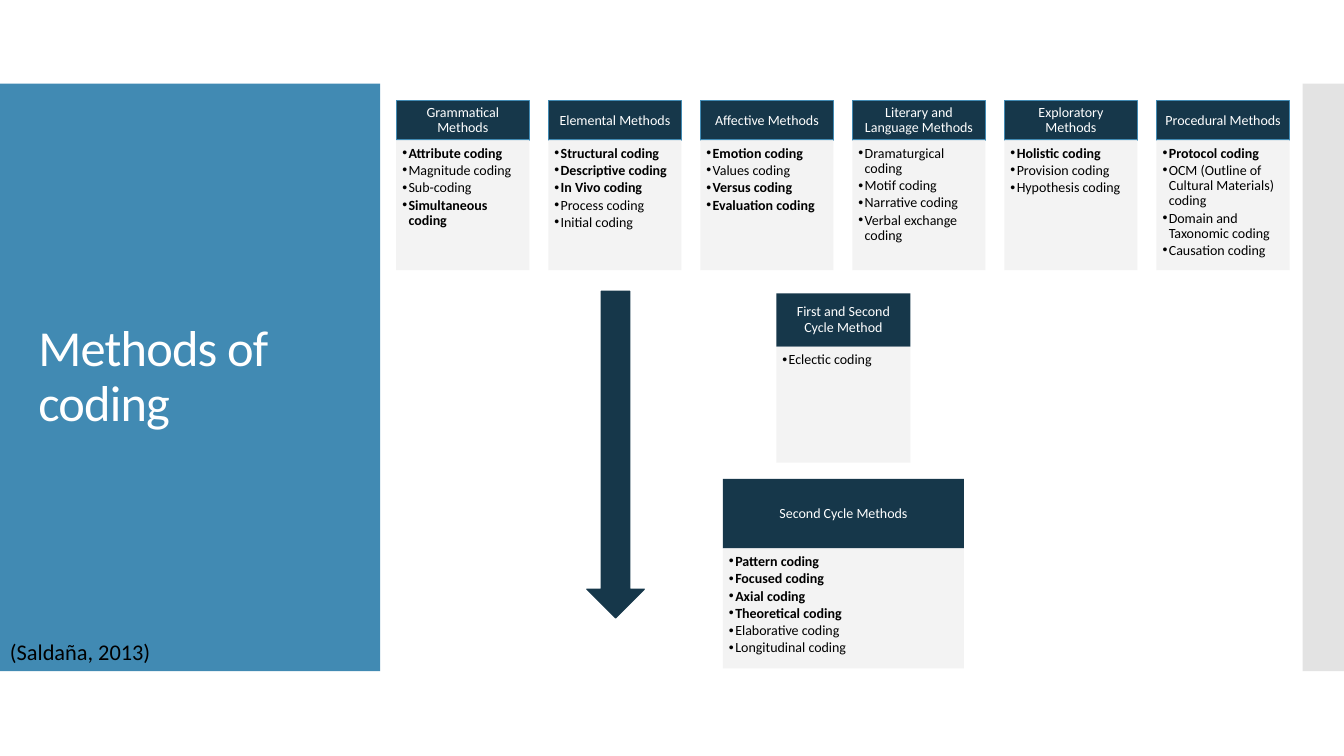
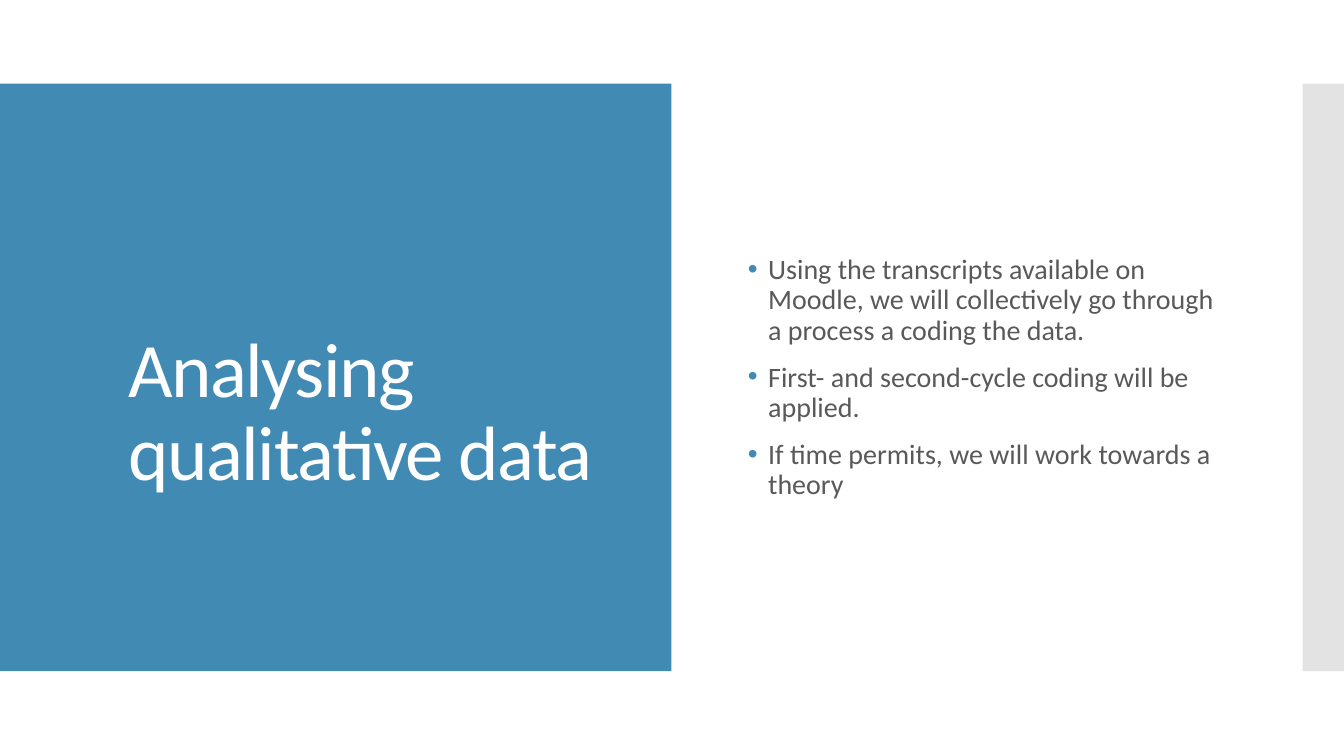
from lxml.etree import SubElement
from pptx import Presentation
from pptx.dml.color import RGBColor
from pptx.enum.shapes import MSO_SHAPE as SHAPE
from pptx.enum.text import MSO_ANCHOR as ANCHOR, MSO_AUTO_SIZE as AUTO_SIZE, PP_ALIGN as ALIGN
from pptx.oxml.ns import qn
from pptx.util import Inches, Pt

FONT = "Calibri"
BLUE = RGBColor(0x41, 0x8A, 0xB3)
NAVY = RGBColor(0x16, 0x37, 0x4A)
STRIP_GREY = RGBColor(0xC8, 0xC8, 0xC8)
CARD_GREY = RGBColor(0xF2, 0xF2, 0xF2)
TEXT_GREY = RGBColor(0x59, 0x59, 0x59)
BLACK = RGBColor(0, 0, 0)
WHITE = RGBColor(0xFF, 0xFF, 0xFF)

BAND_TOP, BAND_HEIGHT = 0.83, 5.83


def add_block(page, kind, bounds, fill, opacity=100, line=None):
    block = page.shapes.add_shape(kind, *map(Inches, bounds))
    block.shadow.inherit = False
    block.fill.solid()
    block.fill.fore_color.rgb = fill
    if opacity < 100:
        color = block.element.spPr.find(qn("a:solidFill"))[0]
        SubElement(color, qn("a:alpha")).set("val", str(opacity * 1000))
    if line is None:
        block.line.fill.background()
    else:
        block.line.color.rgb = line
        block.line.width = Pt(0.85)
    return block


def write_bullets(frame, items, size, color, indent, bullet_color, level=0, bold_items=()):
    frame.word_wrap = True
    frame.text = "\n".join(items)
    for para in frame.paragraphs:
        props = para._p.get_or_add_pPr()
        props.set("marL", str(Inches(indent)))
        props.set("indent", str(-Inches(indent)))
        bullet_fill = SubElement(props, qn("a:buClr"))
        SubElement(bullet_fill, qn("a:srgbClr")).set("val", str(bullet_color))
        SubElement(props, qn("a:buFont")).set("typeface", "Arial")
        SubElement(props, qn("a:buChar")).set("char", "•")
        para.level = level
        para.alignment = ALIGN.LEFT
        para.line_spacing = 0.9
        for span in para.runs:
            span.font.name = FONT
            span.font.size = Pt(size)
            span.font.color.rgb = color
            span.font.bold = span.text in bold_items


deck = Presentation()
deck.slide_width, deck.slide_height = Inches(13.33), Inches(7.5)

# Shared frame: blue title band, grey strip on the right, white title
frames = [
    # title, band width, title bounds, anchor, size, letter spacing in 1/100 pt
    ("Methods of coding", 3.77, (0.28, 1.23, 3.22, 5.03), ANCHOR.MIDDLE, 36, -60),
    ("Analysing qualitative data", 6.66, (1.17, 1.42, 5.15, 3.56), ANCHOR.BOTTOM, 55, -100),
]
for heading, band_width, bounds, anchor, size, spacing in frames:
    page = deck.slides.add_slide(deck.slide_layouts[5])
    add_block(page, SHAPE.RECTANGLE, (0, BAND_TOP, band_width, BAND_HEIGHT), BLUE)
    add_block(page, SHAPE.RECTANGLE, (12.92, BAND_TOP, 0.41, BAND_HEIGHT), STRIP_GREY, 50)
    title = page.shapes.title
    title.element.getparent().append(title.element)  # bring in front of the band
    title.left, title.top, title.width, title.height = map(Inches, bounds)
    frame = title.text_frame
    frame.text = heading
    frame.word_wrap = True
    frame.auto_size = AUTO_SIZE.NONE
    frame.vertical_anchor = anchor
    para = frame.paragraphs[0]
    para.alignment = ALIGN.LEFT
    para.line_spacing = 0.9
    span = para.runs[0]
    span.font.name = FONT
    span.font.size = Pt(size)
    span.font.color.rgb = WHITE
    span._r.get_or_add_rPr().set("spc", str(spacing))

methods_page, analysis_page = deck.slides

# Citation on the band
citation = methods_page.shapes.add_textbox(Inches(0), Inches(6.28), Inches(3.22), Inches(0.37))
citation.text_frame.word_wrap = True
citation.text_frame.text = "(Saldaña, 2013)"
font = citation.text_frame.paragraphs[0].runs[0].font
font.name, font.size, font.color.rgb = FONT, Pt(16), BLACK

# Coding methods: six first-cycle cards in a row, then two later cards
first_cycle = {
    "Grammatical Methods": ["Attribute coding", "Magnitude coding", "Sub-coding",
                            "Simultaneous coding"],
    "Elemental Methods": ["Structural coding", "Descriptive coding", "In Vivo coding",
                          "Process coding", "Initial coding"],
    "Affective Methods": ["Emotion coding", "Values coding", "Versus coding",
                          "Evaluation coding"],
    "Literary and Language Methods": ["Dramaturgical coding", "Motif coding",
                                      "Narrative coding", "Verbal exchange coding"],
    "Exploratory Methods": ["Holistic coding", "Provision coding", "Hypothesis coding"],
    "Procedural Methods": ["Protocol coding", "OCM (Outline of Cultural Materials) coding",
                           "Domain and Taxonomic coding", "Causation coding"],
}
second_cycle = ["Pattern coding", "Focused coding", "Axial coding", "Theoretical coding",
                "Elaborative coding", "Longitudinal coding"]
highlighted = {
    "Attribute coding", "Simultaneous coding", "Structural coding", "Descriptive coding",
    "In Vivo coding", "Emotion coding", "Versus coding", "Evaluation coding",
    "Holistic coding", "Protocol coding", *second_cycle[:4],
}
first_left, last_left = 3.93, 11.47
pitch = (last_left - first_left) / (len(first_cycle) - 1)

# heading, codes, left, top, width, header height, body height, header outline
cards = [
    (heading, codes, first_left + column * pitch, 1, 1.32, 0.39, 1.29, BLUE)
    for column, (heading, codes) in enumerate(first_cycle.items())
]
cards.append(("First and Second Cycle Method", ["Eclectic coding"],
              7.7, 2.91, 1.33, 0.53, 1.15, None))
cards.append(("Second Cycle Methods", second_cycle, 7.17, 4.75, 2.39, 0.69, 1.19, None))

for heading, codes, left, top, width, header_height, body_height, outline in cards:
    header = add_block(methods_page, SHAPE.RECTANGLE, (left, top, width, header_height),
                       NAVY, line=outline)
    frame = header.text_frame
    frame.margin_left = frame.margin_right = Inches(0.08)
    frame.margin_top = frame.margin_bottom = Inches(0.04)
    frame.word_wrap = True
    frame.vertical_anchor = ANCHOR.MIDDLE
    frame.text = heading
    para = frame.paragraphs[0]
    para.alignment = ALIGN.CENTER
    para.line_spacing = 0.9
    font = para.runs[0].font
    font.name, font.size, font.color.rgb = FONT, Pt(10), WHITE

    body = add_block(methods_page, SHAPE.RECTANGLE,
                     (left, top + header_height, width, body_height), CARD_GREY, 90)
    frame = body.text_frame
    frame.margin_left = frame.margin_top = Inches(0.06)
    frame.margin_right, frame.margin_bottom = Inches(0.08), Inches(0.09)
    frame.vertical_anchor = ANCHOR.TOP
    write_bullets(frame, codes, 10, BLACK, 1 / 16, BLACK, 1, highlighted)
    for para in frame.paragraphs:
        para.space_after = Pt(1.5)

# Arrow from the first cycle down to the second
add_block(methods_page, SHAPE.DOWN_ARROW, (5.82, 2.89, 0.57, 3.24), NAVY, line=NAVY)

# Plan for the analysis session
plan = analysis_page.shapes.add_textbox(Inches(7.32), Inches(0.95), Inches(4.91), Inches(5.6))
plan.text_frame.vertical_anchor = ANCHOR.MIDDLE
write_bullets(plan.text_frame, [
    "Using the transcripts available on Moodle, we will collectively go through "
    "a process a coding the data.",
    "First- and second-cycle coding will be applied.",
    "If time permits, we will work towards a theory",
], 20, TEXT_GREY, 0.2, BLUE)
for para in plan.text_frame.paragraphs[1:]:
    para.space_before = Pt(12)

deck.save("out.pptx")
